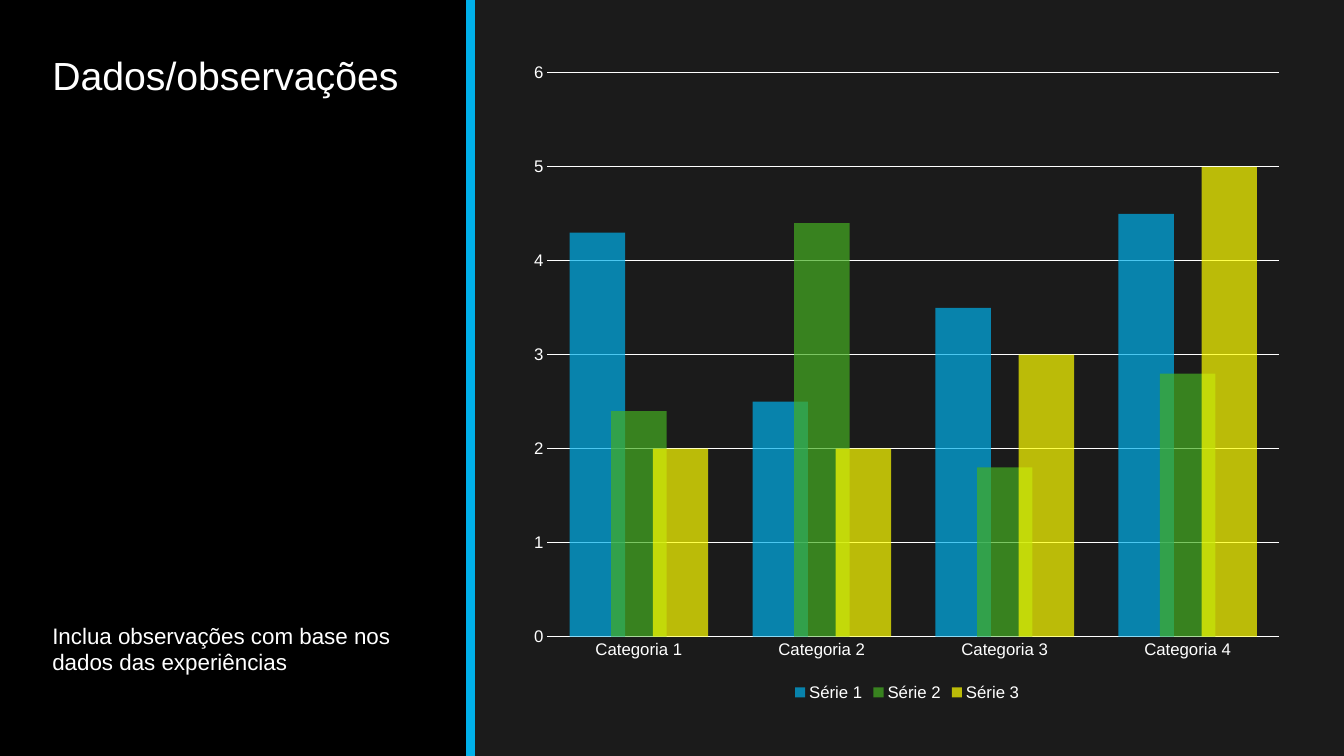
import pptx
import pptx.chart.data
import pptx.dml.color
import pptx.enum.chart
import pptx.enum.shapes
import pptx.enum.text
import pptx.oxml
import pptx.oxml.ns
import pptx.util

WIDTH, HEIGHT = pptx.util.Inches(13.33), pptx.util.Inches(7.5)
PANEL_SHARE = 0.35
FONT = "Arial"
WHITE, BLACK, BACKGROUND, ACCENT = "FFFFFF", "000000", "1B1B1B", "00B0EA"
CATEGORIES = ["Categoria 1", "Categoria 2", "Categoria 3", "Categoria 4"]
SERIES = [
    ("Série 1", [4.3, 2.5, 3.5, 4.5], ACCENT),
    ("Série 2", [2.4, 4.4, 1.8, 2.8], "45AE22"),
    ("Série 3", [2, 2, 3, 5], "FFFF00"),
]
BAR_OPACITY = 70
PLOT_SHARES = {"x": 0.037, "y": 0.033, "w": 0.942, "h": 0.862}


def paint(fill, color):
    fill.solid()
    fill.fore_color.rgb = pptx.dml.color.RGBColor.from_string(color)


def style_font(font, size):
    font.name = FONT
    font.size = pptx.util.Pt(size)
    font.color.rgb = pptx.dml.color.RGBColor.from_string(WHITE)


def style_line(line, color, width):
    paint(line.fill, color)
    line.width = pptx.util.Pt(width)


def share_box(box, left, top, width, height):
    """Return the part of box given by shares of its size."""
    x, y, w, h = box
    return tuple(int(v) for v in (x + left * w, y + top * h, width * w, height * h))


def add_text(slide, box, text, size, anchor):
    frame = slide.shapes.add_textbox(*box).text_frame
    frame.word_wrap = True
    frame.vertical_anchor = anchor
    paragraph = frame.paragraphs[0]
    paragraph.text = text
    style_font(paragraph.font, size)
    return paragraph


def add_panel(slide, box):
    x, y, w, h = box
    panel = slide.shapes.add_shape(pptx.enum.shapes.MSO_SHAPE.RECTANGLE, *box)
    panel.shadow.inherit = False
    paint(panel.fill, BLACK)
    panel.line.fill.background()

    edge = slide.shapes.add_connector(
        pptx.enum.shapes.MSO_CONNECTOR.STRAIGHT, x + w, y, x + w, y + h)
    style_line(edge.line, ACCENT, 6)
    pptx.oxml.ns.qn("a:effectLst")
    edge._element.spPr.append(pptx.oxml.parse_xml(
        f"<a:effectLst {pptx.oxml.ns.nsdecls('a')}/>"))

    anchors = pptx.enum.text.MSO_ANCHOR
    title = add_text(slide, share_box(box, 0.09, 0.068, 0.82, 0.233),
                     "Dados/observações", 28, anchors.TOP)
    title.line_spacing = 0.9
    add_text(slide, share_box(box, 0.09, 0.547, 0.82, 0.353),
             "Inclua observações com base nos dados das experiências",
             16, anchors.BOTTOM)


def place_plot(chart):
    """Fix the inner plot area as shares of the chart."""
    modes = "".join(f'<c:{axis}Mode val="edge"/>' for axis in "xy")
    sizes = "".join(f'<c:{key} val="{share}"/>' for key, share in PLOT_SHARES.items())
    layout = pptx.oxml.parse_xml(
        f"<c:layout {pptx.oxml.ns.nsdecls('c')}><c:manualLayout>"
        f'<c:layoutTarget val="inner"/>{modes}{sizes}</c:manualLayout></c:layout>')
    plot_area = chart._chartSpace.chart.plotArea
    for previous in plot_area.findall(pptx.oxml.ns.qn("c:layout")):
        plot_area.remove(previous)
    plot_area.insert(0, layout)


def add_observations_chart(slide, box):
    data = pptx.chart.data.CategoryChartData()
    data.categories = CATEGORIES
    for name, values, _ in SERIES:
        data.add_series(name, values)
    kinds = pptx.enum.chart
    chart = slide.shapes.add_chart(
        kinds.XL_CHART_TYPE.COLUMN_CLUSTERED, *box, data).chart
    chart.has_title = False
    style_font(chart.font, 10)
    place_plot(chart)

    chart.has_legend = True
    chart.legend.position = kinds.XL_LEGEND_POSITION.BOTTOM
    chart.legend.include_in_layout = False
    style_font(chart.legend.font, 12)

    for axis in (chart.category_axis, chart.value_axis):
        axis.major_tick_mark = axis.minor_tick_mark = kinds.XL_TICK_MARK.NONE
        style_font(axis.tick_labels.font, 12)
    style_line(chart.category_axis.format.line, WHITE, 1.25)
    scale = chart.value_axis
    scale.minimum_scale, scale.maximum_scale, scale.major_unit = 0, 6, 1
    scale.format.line.fill.background()
    style_line(scale.major_gridlines.format.line, WHITE, 0.75)

    plot = chart.plots[0]
    plot.gap_width, plot.overlap, plot.vary_by_categories = 80, 25, False
    for series, (_, _, color) in zip(plot.series, SERIES):
        series.invert_if_negative = False
        paint(series.format.fill, color)
        tint = series._element.spPr.find(".//" + pptx.oxml.ns.qn("a:srgbClr"))
        tint.append(pptx.oxml.parse_xml(
            f'<a:alpha {pptx.oxml.ns.nsdecls("a")} val="{BAR_OPACITY * 1000}"/>'))


def main():
    deck = pptx.Presentation()
    deck.slide_width, deck.slide_height = WIDTH, HEIGHT
    slide = deck.slides.add_slide(deck.slide_layouts[6])
    paint(slide.background.fill, BACKGROUND)
    page = (0, 0, WIDTH, HEIGHT)
    add_panel(slide, share_box(page, 0, 0, PANEL_SHARE, 1))
    add_observations_chart(slide, share_box(page, 0.386, 0.068, 0.578, 0.865))
    deck.save("out.pptx")


if __name__ == "__main__":
    main()
